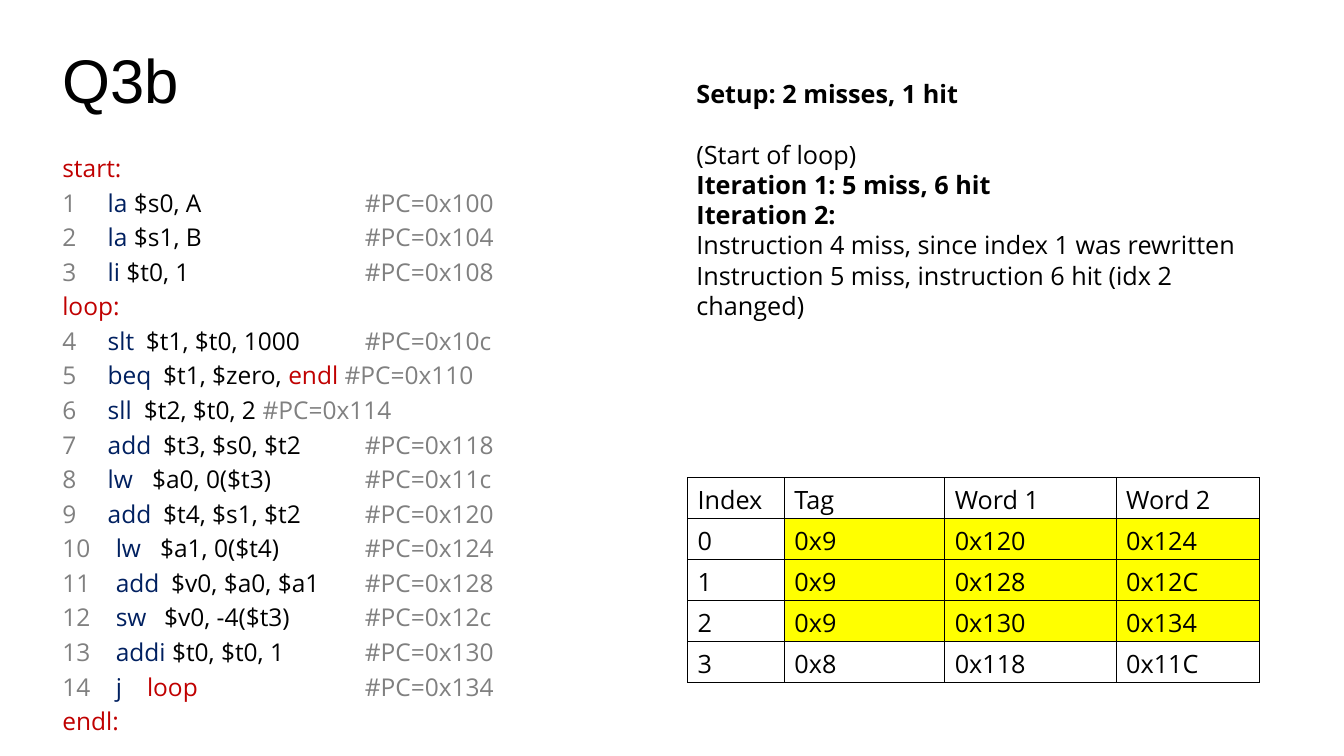
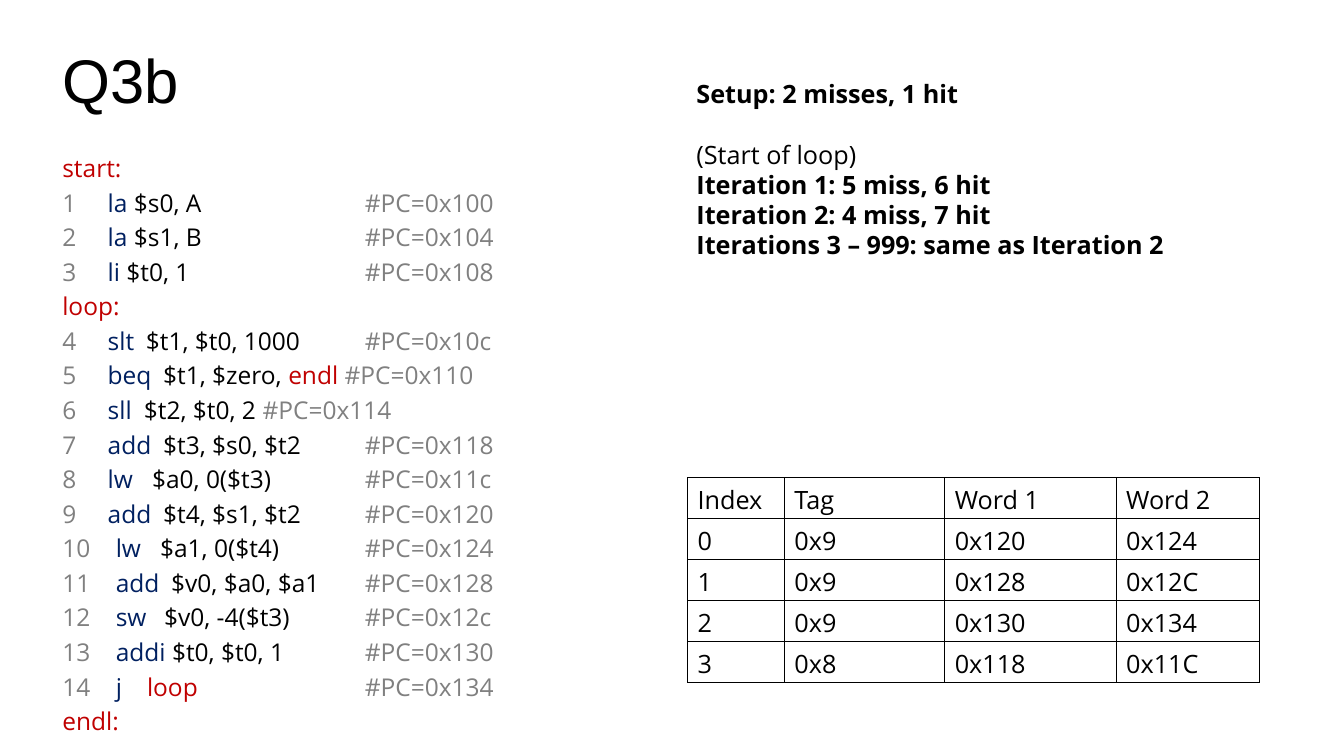
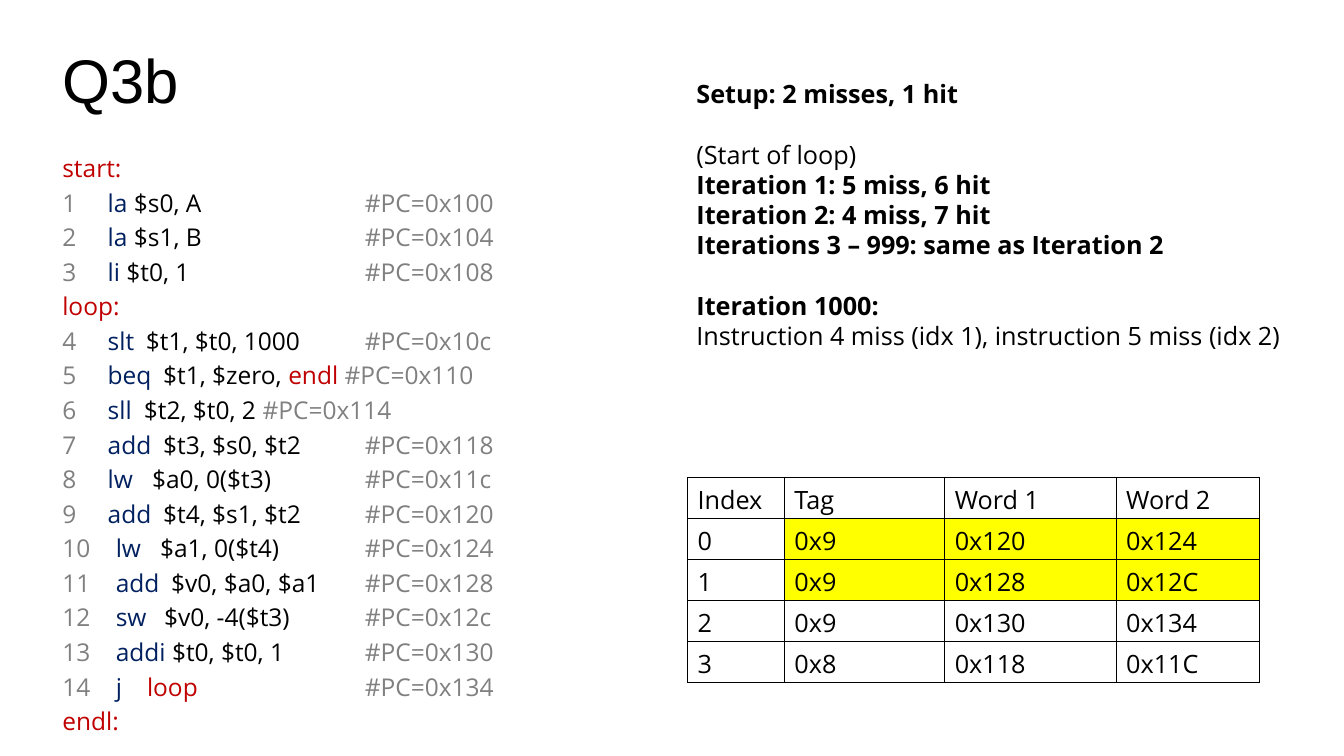
"""Build three slides that trace a loop through an instruction cache."""
from lxml import etree
from pptx import Presentation
from pptx.dml.color import RGBColor
from pptx.enum.text import MSO_ANCHOR
from pptx.oxml.ns import qn
from pptx.util import Emu, Pt

MIDDLE, TOP = MSO_ANCHOR.MIDDLE, MSO_ANCHOR.TOP
HEAD, BODY = "Arial", "Open Sans"
BLACK, RED, NAVY, GRAY, YELLOW = "000000", "C00000", "002060", "808080", "FFFF00"
PX = 9144

CODE = [
    "start:",
    ("la", "$s0, A", "", "\t"),
    ("la", "$s1, B", "", "\t"),
    ("li", "$t0, 1", "", "\t"),
    "loop:",
    ("slt", "$t1, $t0, 1000", "", "\t"),
    ("beq", "$t1, $zero, ", "endl", " "),
    ("sll", "$t2, $t0, 2", "", " "),
    ("add", "$t3, $s0, $t2", "", "\t"),
    ("lw", "$a0, 0($t3)", "", "\t"),
    ("add", "$t4, $s1, $t2", "", "\t"),
    ("lw", "$a1, 0($t4)", "", "\t"),
    ("add", "$v0, $a0, $a1", "", "\t"),
    ("sw", "$v0, -4($t3)", "", "\t"),
    ("addi", "$t0, $t0, 1", "", "\t"),
    ("j", "", "loop", "\t"),
    "endl:",
]
GAPS = {"slt": 38, "beq": 55, "sll": 36, "add": 55, "lw": 44, "sw": 48, "j": 31}
OP_X = {1: 45, 2: 53}
PC_X = 300

CACHE = [
    ("Index", "Tag", "Word 1", "Word 2"),
    ("0", "0x9", "0x120", "0x124"),
    ("1", "0x9", "0x128", "0x12C"),
    ("2", "0x9", "0x130", "0x134"),
    ("3", "0x8", "0x118", "0x11C"),
]
COLS = (96, 159, 170, 142)

START = [
    ("Setup: 2 misses, 1 hit", True, 0),
    ("(Start of loop)", False, 1),
    ("Iteration 1: 5 miss, 6 hit", True, 0),
]
STEADY = START + [
    ("Iteration 2: 4 miss, 7 hit", True, 0),
    ("Iterations 3 – 999: same as Iteration 2", True, 0),
]
SLIDES = [
    {"notes": START + [
        ("Iteration 2:", True, 0),
        ("Instruction 4 miss, since index 1 was rewritten", False, 0),
        ("Instruction 5 miss, instruction 6 hit (idx 2 changed)", False, 0),
    ], "size": (567, 252), "marked": (1, 2, 3)},
    {"notes": STEADY, "size": (600, 192), "marked": ()},
    {"notes": STEADY + [
        ("Iteration 1000:", True, 1),
        ("Instruction 4 miss (idx 1), instruction 5 miss (idx 2)", False, 0),
    ], "size": (600, 313), "marked": (1, 2)},
]


def px(num):
    return Emu(num * PX)


def rgb(tone):
    return RGBColor.from_string(tone)


def add_run(para, text, size, tone=BLACK, font=BODY, bold=False):
    run = para.add_run()
    run.text = text
    run.font.size = Pt(size)
    run.font.name = font
    run.font.bold = bold
    run.font.color.rgb = rgb(tone)


def add_box(slide, left, top, width, height, anchor=TOP):
    frame = slide.shapes.add_textbox(px(left), px(top), px(width), px(height)).text_frame
    frame.word_wrap = True
    frame.vertical_anchor = anchor
    return frame


def each_para(frame, items):
    for spot, item in enumerate(items):
        yield (frame.add_paragraph() if spot else frame.paragraphs[0]), item


def set_tabs(para, stops):
    tabs = etree.SubElement(para._p.get_or_add_pPr(), qn("a:tabLst"))
    for stop in stops:
        etree.SubElement(tabs, qn("a:tab"), pos=str(px(stop)), algn="l")


def add_title(slide):
    para = add_box(slide, 52, 10, 140, 145, MIDDLE).paragraphs[0]
    para.line_spacing = 0.9
    add_run(para, "Q3b", 44, font=HEAD)


def add_code(slide):
    num = 0
    for para, line in each_para(add_box(slide, 52, 155, 606, 636), CODE):
        para.line_spacing = 0.7
        para.space_before = Pt(10)
        if isinstance(line, str):
            add_run(para, line, 17.5, RED)
            continue
        num += 1
        op, args, target, sep = line
        left = OP_X[len(str(num))]
        gap = [left + GAPS[op]] if op in GAPS else []
        set_tabs(para, [left, *gap, PC_X])
        parts = [
            (f"{num}\t", GRAY),
            (op, NAVY),
            (("\t" if gap else " ") + args, BLACK),
            (target, RED),
            (f"{sep}#PC=0x{0x100 + 4 * (num - 1):x}", GRAY),
        ]
        for text, tone in parts:
            if text:
                add_run(para, text, 17.5, tone)


def add_edges(cell):
    props = cell._tc.get_or_add_tcPr()
    for side in ("lnL", "lnR", "lnT", "lnB"):
        line = etree.SubElement(props, qn("a:" + side), w=str(Pt(1)))
        fill = etree.SubElement(line, qn("a:solidFill"))
        etree.SubElement(fill, qn("a:srgbClr"), val=BLACK)


def add_cache(slide, marked):
    table = slide.shapes.add_table(
        len(CACHE), len(COLS), px(682), px(474), px(sum(COLS)), px(203)).table
    table.first_row = table.horz_banding = False
    for col, width in zip(table.columns, COLS):
        col.width = px(width)
    for row, texts in enumerate(CACHE):
        for col, text in enumerate(texts):
            cell = table.cell(row, col)
            add_edges(cell)
            if row in marked and col:
                cell.fill.solid()
                cell.fill.fore_color.rgb = rgb(YELLOW)
            else:
                cell.fill.background()
            add_run(cell.text_frame.paragraphs[0], text, 18)


def add_notes(slide, notes, size):
    for para, (text, bold, skip) in each_para(add_box(slide, 681, 73, *size), notes):
        if skip:
            para.space_before = Pt(21.6)
        add_run(para, text, 18, bold=bold)


def main():
    deck = Presentation()
    deck.slide_width, deck.slide_height = px(1333), px(750)
    for data in SLIDES:
        slide = deck.slides.add_slide(deck.slide_layouts[6])
        add_title(slide)
        add_code(slide)
        add_cache(slide, data["marked"])
        add_notes(slide, data["notes"], data["size"])
    deck.save("out.pptx")


if __name__ == "__main__":
    main()
